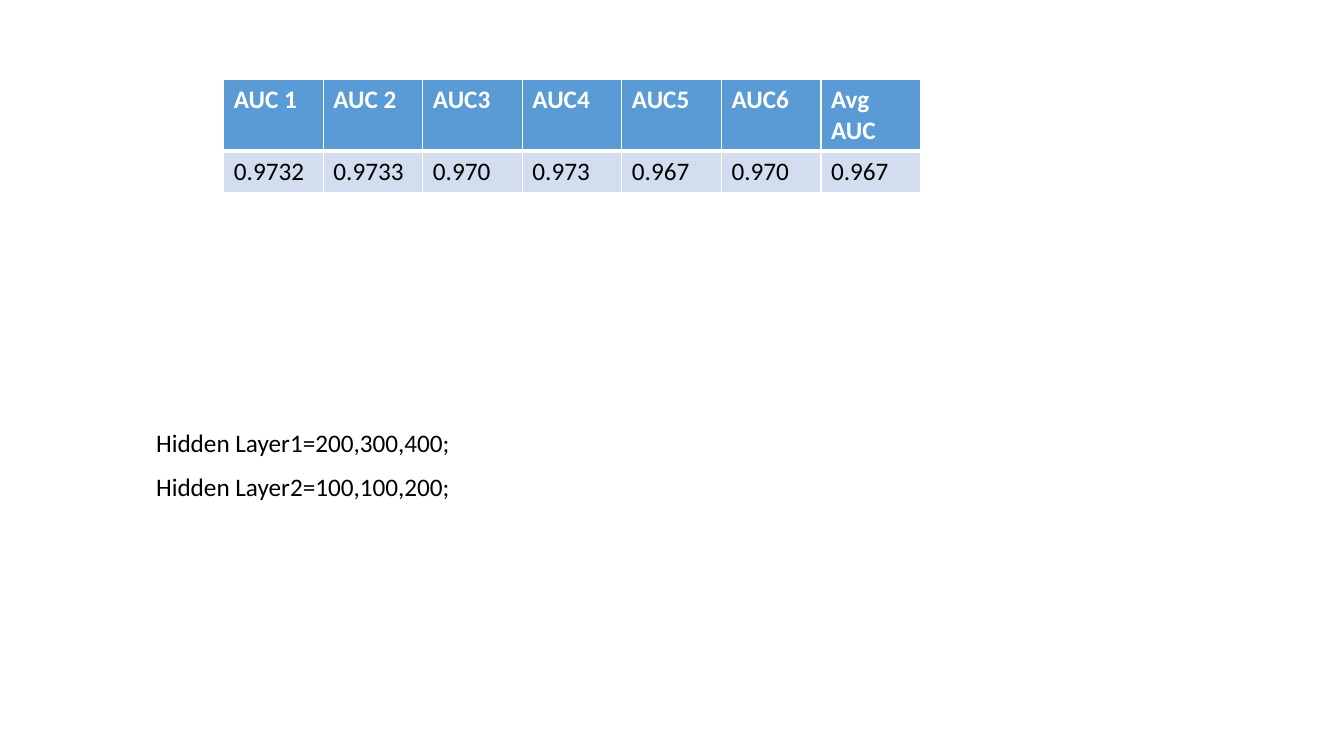
from lxml import etree
from pptx import Presentation
from pptx import util as u
from pptx.dml.color import RGBColor
from pptx.enum import text
from pptx.oxml.ns import qn

COLORS = {"white": "FFFFFF", "black": "000000", "header": "5B9BD5", "band": "D2DEEF"}


def add_text(p, content, color="black", bold=False, spacing=None, after=None):
    r = p.add_run()
    r.text = content
    r.font.name = "Calibri"
    r.font.size = u.Pt(18)
    r.font.bold = bold
    r.font.color.rgb = RGBColor.from_string(COLORS[color])
    if spacing is not None:
        p.line_spacing = spacing
    if after is not None:
        p.space_after = u.Pt(after)


def add_border(cell, side, width):
    ln = etree.SubElement(cell._tc.get_or_add_tcPr(), qn(f"a:ln{side}"), w=str(u.Pt(width)))
    fill = etree.SubElement(ln, qn("a:solidFill"))
    etree.SubElement(fill, qn("a:srgbClr"), val=COLORS["white"])


prs = Presentation()
prs.slide_width = u.Inches(13.33)
prs.slide_height = u.Inches(7.5)
s = prs.slides.add_slide(prs.slide_layouts[6])

auc_rows = [
    ["AUC 1", "AUC 2", "AUC3", "AUC4", "AUC5", "AUC6", "Avg AUC"],
    ["0.9732", "0.9733", "0.970", "0.973", "0.967", "0.970", "0.967"],
]
row_styles = [
    {"height": 0.7, "fill": "header", "color": "white", "bold": True,
     "borders": {"L": 1, "R": 1, "T": 1, "B": 3}},
    {"height": 0.41, "fill": "band", "color": "black", "bold": False,
     "borders": {"L": 1, "R": 1, "T": 3, "B": 1}},
]
table = s.shapes.add_table(
    2, 7, u.Inches(2.22), u.Inches(0.79), u.Inches(6.91), u.Inches(1.11)
).table

for i, (values, style) in enumerate(zip(auc_rows, row_styles)):
    table.rows[i].height = u.Inches(style["height"])
    for j, value in enumerate(values):
        cell = table.cell(i, j)
        for side, width in style["borders"].items():
            add_border(cell, side, width)
        cell.fill.solid()
        cell.fill.fore_color.rgb = RGBColor.from_string(COLORS[style["fill"]])
        add_text(cell.text_frame.paragraphs[0], value, color=style["color"], bold=style["bold"])

sp = s.shapes.add_textbox(u.Inches(1.45), u.Inches(4.17), u.Inches(6.67), u.Inches(0.86))
tf = sp.text_frame
tf.word_wrap = True
tf.auto_size = text.MSO_AUTO_SIZE.SHAPE_TO_FIT_TEXT
layers = ["Hidden Layer1=200,300,400;", "Hidden Layer2=100,100,200;"]
for i, layer in enumerate(layers):
    p = tf.add_paragraph() if i else tf.paragraphs[0]
    add_text(p, layer, spacing=1.07, after=8)

prs.save("out.pptx")
